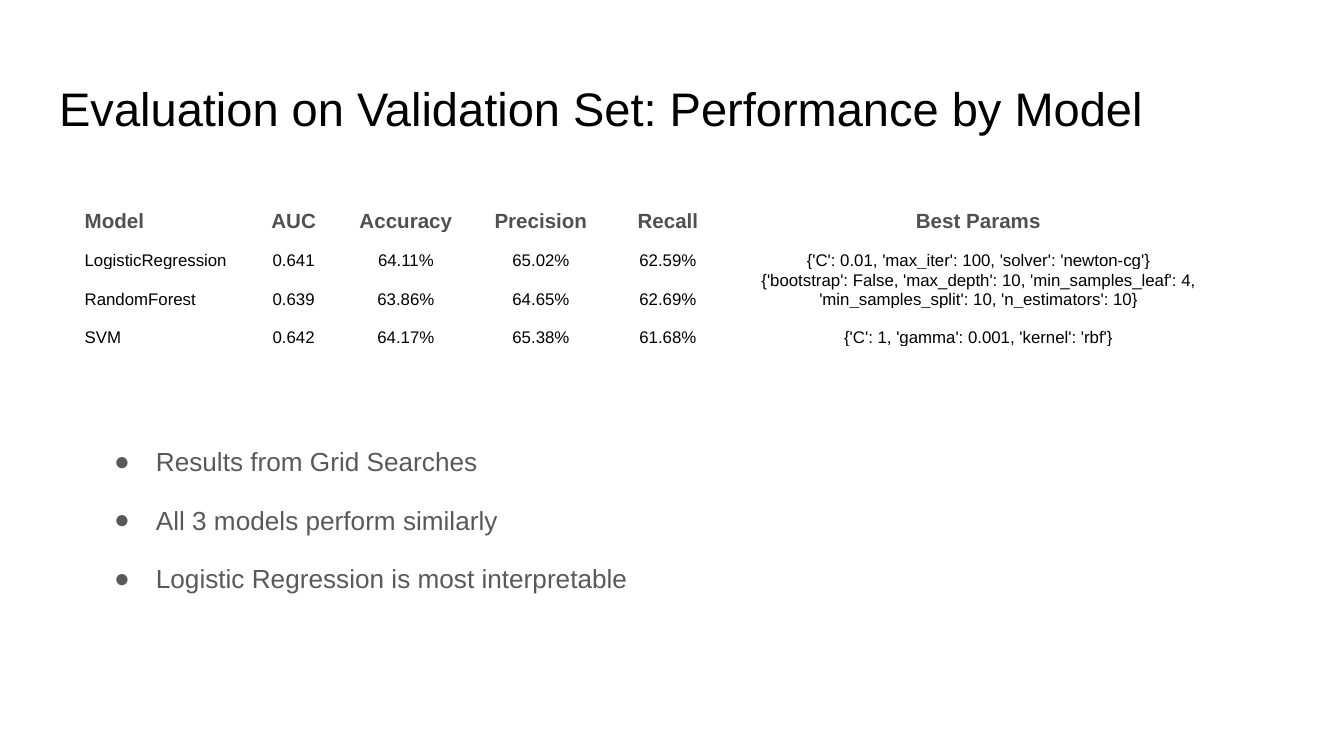
import pptx
import pptx.dml.color
import pptx.enum.text
import pptx.oxml.ns
import pptx.util
from dataclasses import astuple, dataclass
from lxml import etree

Inches = pptx.util.Inches
Pt = pptx.util.Pt
ALIGN = pptx.enum.text.PP_ALIGN
ANCHOR = pptx.enum.text.MSO_ANCHOR
FONT = "Arial"
BLACK, DARK_GREY, GREY = "000000", "505050", "595959"
SLIDE_WIDTH = 10


@dataclass
class ModelResult:
    model: str
    auc: str
    accuracy: str
    precision: str
    recall: str
    params: str


HEADER = ModelResult("Model", "AUC", "Accuracy", "Precision", "Recall", "Best Params")
RESULTS = [
    ModelResult("LogisticRegression", "0.641", "64.11%", "65.02%", "62.59%",
                "{'C': 0.01, 'max_iter': 100, 'solver': 'newton-cg'}"),
    ModelResult("RandomForest", "0.639", "63.86%", "64.65%", "62.69%",
                "{'bootstrap': False, 'max_depth': 10, 'min_samples_leaf': 4, "
                "'min_samples_split': 10, 'n_estimators': 10}"),
    ModelResult("SVM", "0.642", "64.17%", "65.38%", "61.68%",
                "{'C': 1, 'gamma': 0.001, 'kernel': 'rbf'}"),
]
COLUMN_WIDTHS = [1.2, 0.73, 0.94, 1.07, 0.82, 3.8]
ROW_HEIGHT = 0.28
FINDINGS = [
    "Results from Grid Searches",
    "All 3 models perform similarly",
    "Logistic Regression is most interpretable",
]


def color(value: str) -> pptx.dml.color.RGBColor:
    return pptx.dml.color.RGBColor.from_string(value)


def add_run(p, text: str, size: float, fill: str, bold: bool = False) -> None:
    r = p.add_run()
    r.text = text
    r.font.name = FONT
    r.font.size = Pt(size)
    r.font.bold = bold
    r.font.color.rgb = color(fill)


def place(sp, left: float, top: float, width: float, height: float, anchor):
    """Move a placeholder and return its formatted text frame."""
    sp.left, sp.top = Inches(left), Inches(top)
    sp.width, sp.height = Inches(width), Inches(height)
    tf = sp.text_frame
    tf.word_wrap = True
    tf.auto_size = pptx.enum.text.MSO_AUTO_SIZE.NONE
    tf.vertical_anchor = anchor
    tf.margin_left = tf.margin_right = Inches(0.1)
    tf.margin_top = tf.margin_bottom = Inches(0.1)
    return tf


def add_bullet(p, char: str, fill: str, indent: float) -> None:
    pPr = p._p.get_or_add_pPr()
    pPr.set("marL", str(Inches(indent)))
    pPr.set("indent", str(-Inches(indent)))
    qn = pptx.oxml.ns.qn
    buClr = etree.SubElement(pPr, qn("a:buClr"))
    etree.SubElement(buClr, qn("a:srgbClr"), val=fill)
    etree.SubElement(pPr, qn("a:buFont"), typeface=FONT)
    etree.SubElement(pPr, qn("a:buChar"), char=char)


def fill_row(table, row: int, result: ModelResult, size: float, fill: str, bold: bool) -> None:
    table.rows[row].height = Inches(ROW_HEIGHT)
    for col, text in enumerate(astuple(result)):
        cell = table.cell(row, col)
        cell.fill.background()
        cell.vertical_anchor = ANCHOR.BOTTOM
        cell.margin_left = cell.margin_right = cell.margin_top = Inches(0.01)
        cell.margin_bottom = 0
        p = cell.text_frame.paragraphs[0]
        p.alignment = ALIGN.CENTER if col else ALIGN.LEFT
        add_run(p, text, size, fill, bold)


def main() -> None:
    prs = pptx.Presentation()
    prs.slide_width = Inches(SLIDE_WIDTH)
    prs.slide_height = Inches(SLIDE_WIDTH * 9 / 16)
    s = prs.slides.add_slide(prs.slide_layouts[1])

    # Title
    tf = place(s.shapes.title, 0.34, 0.49, 9.32, 0.63, ANCHOR.MIDDLE)
    p = tf.paragraphs[0]
    p.alignment = ALIGN.LEFT
    add_run(p, "Evaluation on Validation Set: Performance by Model", 25.2, BLACK)

    # Findings
    tf = place(s.placeholders[1], 0.75, 3.18, 7.49, 1.73, ANCHOR.TOP)
    for i, finding in enumerate(FINDINGS):
        p = tf.add_paragraph() if i else tf.paragraphs[0]
        add_bullet(p, "●", GREY, 0.31)
        p.line_spacing = 1.15
        p.space_before = Pt(0)
        p.space_after = Pt(12)
        add_run(p, finding, 14, GREY)

    # Results table
    rows = len(RESULTS) + 1
    table = s.shapes.add_table(
        rows, len(COLUMN_WIDTHS), Inches(0.62), Inches(1.45),
        Inches(sum(COLUMN_WIDTHS)), Inches(rows * ROW_HEIGHT)).table
    table.first_row = table.horz_banding = False
    for column, width in zip(table.columns, COLUMN_WIDTHS):
        column.width = Inches(width)
    fill_row(table, 0, HEADER, 11, DARK_GREY, True)
    for row, result in enumerate(RESULTS, start=1):
        fill_row(table, row, result, 9, BLACK, False)

    prs.save("out.pptx")


if __name__ == "__main__":
    main()
